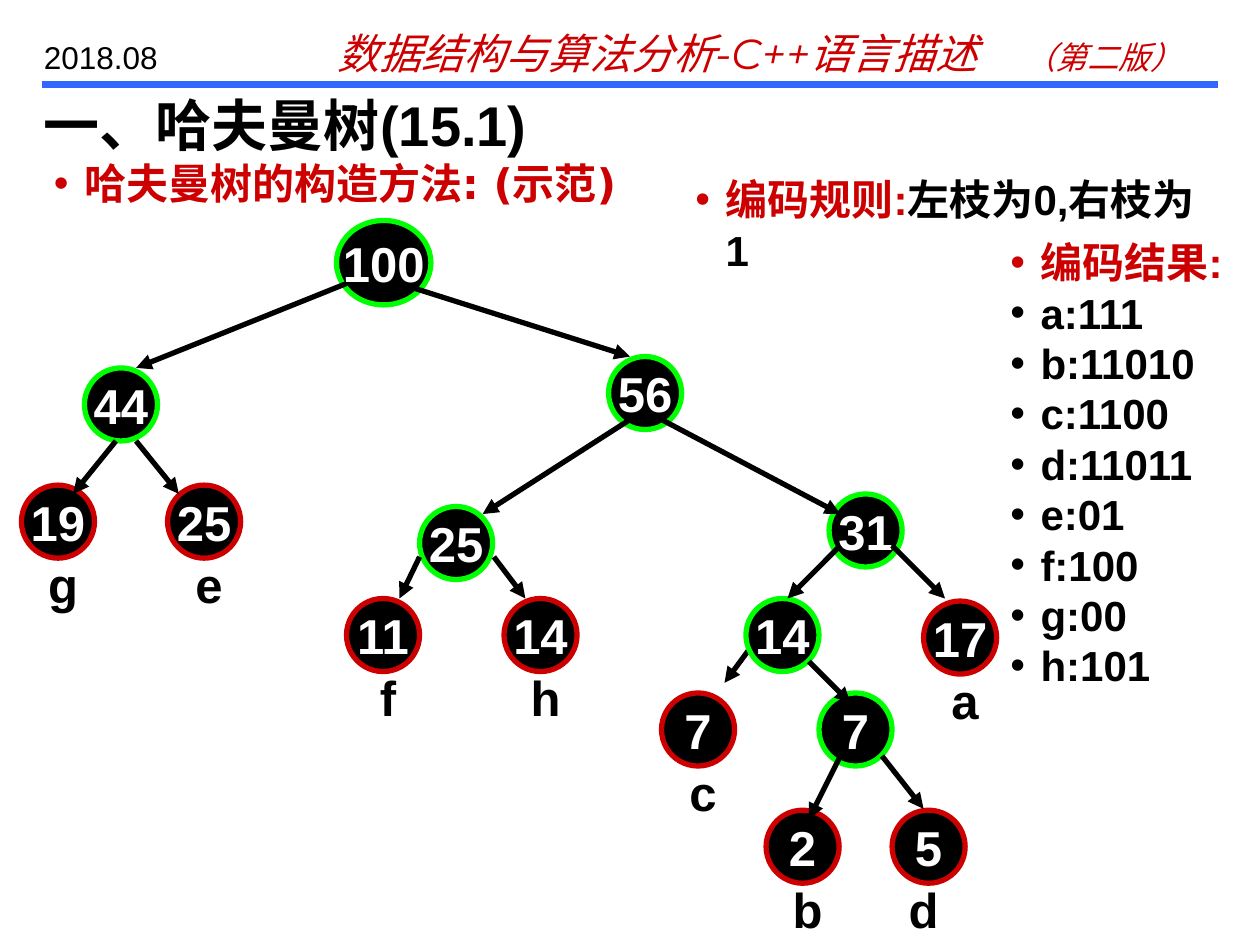
from dataclasses import dataclass
from lxml import etree
from pptx import Presentation
from pptx.dml.color import RGBColor
from pptx.enum import shapes, text
from pptx.oxml import ns
from pptx.util import Inches, Pt


@dataclass(frozen=True)
class Theme:
    red: str = "CC0000"
    green: str = "00FF00"
    blue: str = "3366FF"
    black: str = "000000"
    white: str = "FFFFFF"
    sans: str = "Arial"
    small: int = 18
    body: int = 24
    node: int = 28
    title: int = 32


theme = Theme()
deck = Presentation()
deck.slide_width, deck.slide_height = Inches(10), Inches(7.5)
page = deck.slides.add_slide(deck.slide_layouts[6])


def write(frame, paragraphs, bullet_colors=(), tab=None, align=None, wrap=True):
    """Fill a frame; each paragraph is a list of (text, colour, format) spans."""
    frame.word_wrap = wrap
    for index, spans in enumerate(paragraphs):
        para = frame.add_paragraph() if index else frame.paragraphs[0]
        para.alignment = align
        props = para._p.get_or_add_pPr()
        if bullet_colors:
            props.set("marL", str(Inches(0.24)))
            props.set("indent", str(-Inches(0.24)))
            color = etree.SubElement(props, ns.qn("a:buClr"))
            etree.SubElement(color, ns.qn("a:srgbClr"), val=bullet_colors[index])
            etree.SubElement(props, ns.qn("a:buFont"), typeface=theme.sans)
            etree.SubElement(props, ns.qn("a:buChar"), char="•")
        if tab:
            tabs = etree.SubElement(props, ns.qn("a:tabLst"))
            etree.SubElement(tabs, ns.qn("a:tab"), pos=str(Inches(tab)), algn="l")
        for words, color, style in spans:
            span = para.add_run()
            span.text = words
            span.font.color.rgb = RGBColor.from_string(color)
            for name, value in style.items():
                setattr(span.font, name, value)


def connect(start, end, color, width, arrow=True):
    line = page.shapes.add_connector(
        shapes.MSO_CONNECTOR.STRAIGHT, *map(Inches, start + end))
    line.line.color.rgb = RGBColor.from_string(color)
    line.line.width = Pt(width)
    if arrow:
        etree.SubElement(line.line._get_or_add_ln(), ns.qn("a:tailEnd"), type="triangle")
    etree.SubElement(line._element.spPr, ns.qn("a:effectLst"))


bold = {"name": theme.sans, "size": Pt(theme.body), "bold": True}
node_style = {**bold, "size": Pt(theme.node)}
header = {"name": "Montserrat", "size": Pt(theme.body), "italic": True}

# Header rule
connect((0.33, 0.67), (9.67, 0.67), theme.blue, 4, arrow=False)

# Header, title and bullet texts
codes = ["a:111", "b:11010", "c:1100", "d:11011", "e:01", "f:100", "g:00", "h:101"]
texts = [
    ((2.58, 0.17, 7, 0.5),
     [[("数据结构与算法分析-C++语言描述\t", theme.red, header),
       ("（第二版）", theme.red, {**header, "size": Pt(theme.small)})]],
     {"tab": 5.45}),
    ((0.25, 0.25, 1.42, 0.4),
     [[("2018.08", theme.black, {"name": theme.sans, "size": Pt(theme.small)})]], {}),
    ((0.25, 0.67, 9.75, 0.5),
     [[("一、哈夫曼树(15.1)", theme.black, {**bold, "size": Pt(theme.title)})]], {}),
    ((0.33, 1.2, 9.42, 0.5),
     [[("哈夫曼树的构造方法: (示范)", theme.red, {**bold, "name": "DejaVu Sans"})]],
     {"bullet_colors": [theme.red]}),
    ((5.42, 1.33, 4.25, 0.9),
     [[("编码规则:", theme.red, bold), ("左枝为0,右枝为1", theme.black, bold)]],
     {"bullet_colors": [theme.red]}),
    ((7.92, 1.83, 2, 3.7),
     [[("编码结果:", theme.red, bold)]] + [[(code, theme.black, bold)] for code in codes],
     {"bullet_colors": [theme.red] + [theme.black] * len(codes)}),
]
for place, paragraphs, options in texts:
    box = page.shapes.add_textbox(*map(Inches, place))
    write(box.text_frame, paragraphs, **options)

# The edge to leaf c starts behind its parent node
connect((6, 5.08), (5.75, 5.42), theme.black, 3)

# Tree nodes: left, top, weight, letter (leaves only)
nodes = [
    (2.67, 1.75, 100, ""), (0.67, 2.92, 44, ""), (4.83, 2.83, 56, ""),
    (0.17, 3.85, 19, "g"), (1.33, 3.85, 25, "e"),
    (3.33, 4.02, 25, ""), (6.58, 3.92, 31, ""),
    (2.75, 4.75, 11, "f"), (4, 4.75, 14, "h"),
    (5.92, 4.75, 14, ""), (7.33, 4.77, 17, "a"),
    (5.25, 5.5, 7, "c"), (6.5, 5.5, 7, ""),
    (6.08, 6.43, 2, "b"), (7.08, 6.43, 5, "d"),
]
for left, top, weight, letter in nodes:
    size = (0.75, 0.67) if weight == 100 else (0.58, 0.58)
    node = page.shapes.add_shape(
        shapes.MSO_SHAPE.OVAL, *map(Inches, (left, top, *size)))
    node.shadow.inherit = False
    node.fill.solid()
    node.fill.fore_color.rgb = RGBColor.from_string(theme.black)
    node.line.color.rgb = RGBColor.from_string(theme.red if letter else theme.green)
    node.line.width = Pt(3)
    node.text_frame.vertical_anchor = text.MSO_ANCHOR.MIDDLE
    write(node.text_frame, [[(str(weight), theme.white, node_style)]],
          align=text.PP_ALIGN.CENTER, wrap=False)
    if letter:
        shift = 0 if letter == "d" else 0.08
        label = page.shapes.add_textbox(
            *map(Inches, (left + shift, top + 0.5, 0.5, 0.57)))
        write(label.text_frame, [[(letter, theme.black, node_style)]],
              align=text.PP_ALIGN.CENTER)

# Tree edges, from parent to child
edges = [
    ((2.75, 2.25), (1.08, 2.92)), ((3.17, 2.25), (5, 2.83)),
    ((0.92, 3.5), (0.58, 3.92)), ((1.08, 3.5), (1.42, 3.92)),
    ((5, 3.33), (3.83, 4.08)), ((5.25, 3.33), (6.67, 4.08)),
    ((3.33, 4.42), (3.17, 4.75)), ((3.92, 4.42), (4.17, 4.75)),
    ((6.67, 4.33), (6.25, 4.75)), ((7.08, 4.33), (7.5, 4.75)),
    ((6.42, 5.25), (6.75, 5.58)),
    ((6.67, 6), (6.42, 6.5)), ((7, 6), (7.33, 6.42)),
]
for start, end in edges:
    connect(start, end, theme.black, 3)

deck.save("out.pptx")
